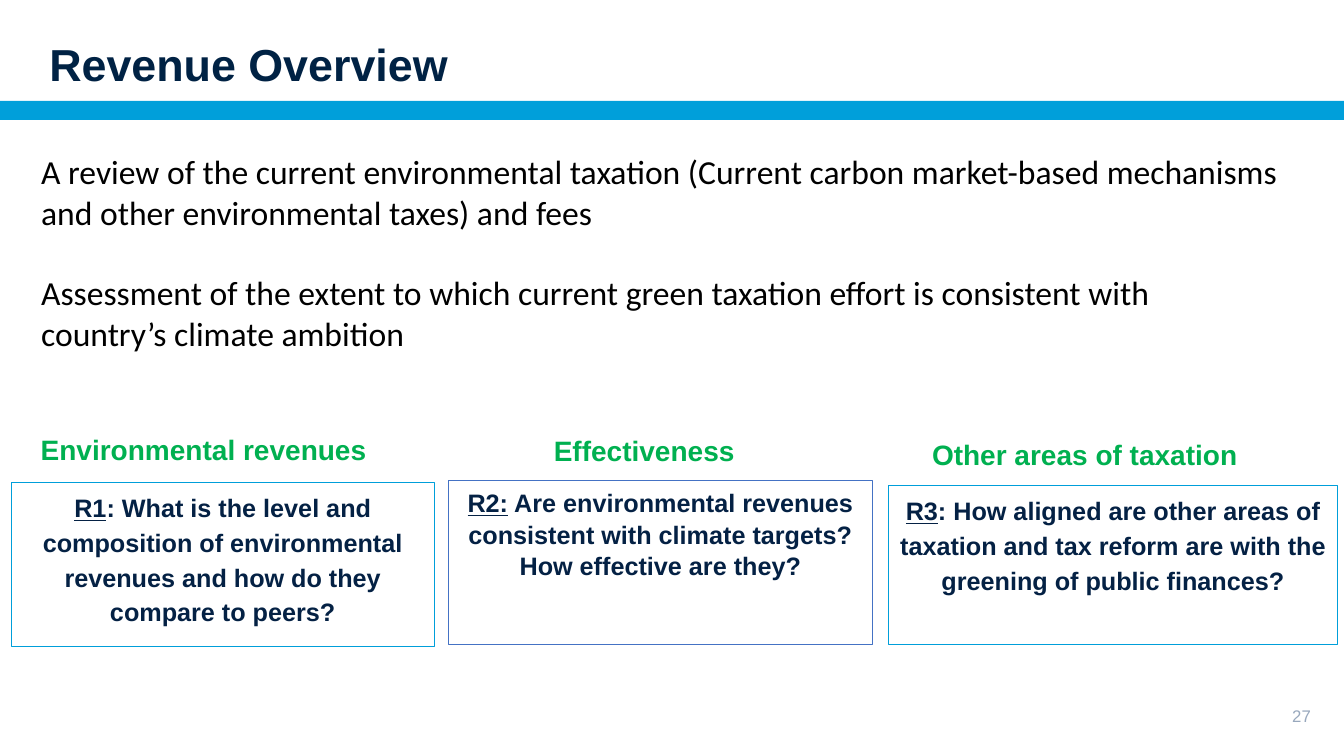
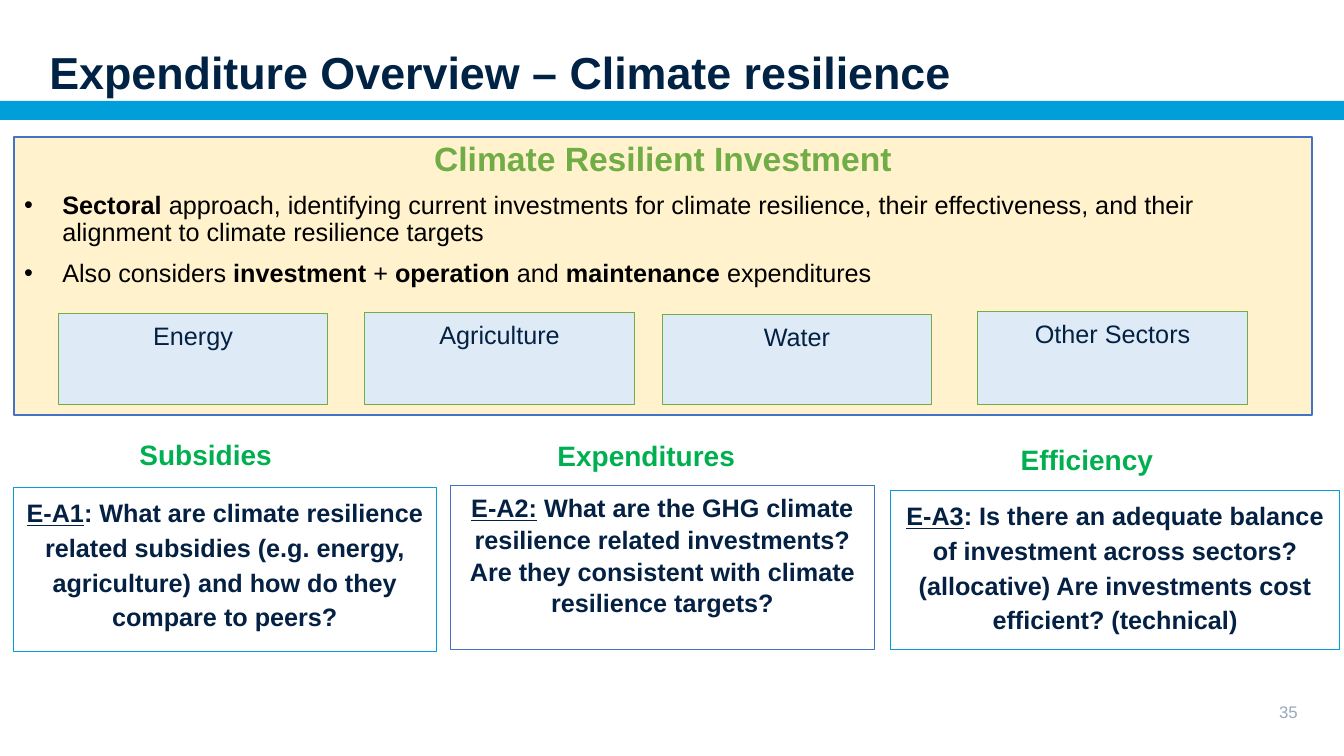
from lxml import etree
from pptx import Presentation
from pptx.dml.color import RGBColor
from pptx.enum.shapes import MSO_SHAPE
from pptx.enum.text import MSO_ANCHOR, PP_ALIGN
from pptx.oxml.ns import qn
from pptx.util import Inches, Pt

RECTANGLE = MSO_SHAPE.RECTANGLE
TOP, MIDDLE = MSO_ANCHOR.TOP, MSO_ANCHOR.MIDDLE
LEFT, CENTER, RIGHT = PP_ALIGN.LEFT, PP_ALIGN.CENTER, PP_ALIGN.RIGHT

BLACK = RGBColor(0x00, 0x00, 0x00)
NAVY = RGBColor(0x00, 0x22, 0x44)
INK = RGBColor(0x04, 0x21, 0x44)
CYAN = RGBColor(0x00, 0x9F, 0xDA)
BLUE = RGBColor(0x44, 0x72, 0xC4)
GREEN = RGBColor(0x00, 0xB0, 0x50)
LEAF = RGBColor(0x70, 0xAD, 0x47)
CREAM = RGBColor(0xFF, 0xF2, 0xCC)
PALE_BLUE = RGBColor(0xDE, 0xEB, 0xF7)
GREY = RGBColor(0x98, 0xA8, 0xBD)

# Per column: heading (left, top, height), question box (left, top, width, height),
# heading spacing, question spacing, outline
COLUMNS = [
    ((0.07, 4.19, 0.58), (0.11, 4.79, 4.2, 1.62), 1.15, 1.15, CYAN),
    ((4.44, 4.29, 0.45), (4.45, 4.77, 4.2, 1.62), 0.9, 1.05, BLUE),
    ((8.81, 4.24, 0.58), (8.81, 4.82, 4.46, 1.57), 1.15, 1.15, CYAN),
]
HEADING_WIDTH = 3.9


class Designer:
    def __init__(self):
        self.deck = Presentation()
        self.deck.slide_width = Inches(13.33)
        self.deck.slide_height = Inches(7.5)
        self.slide = None

    def new_slide(self, title, title_top, number, number_left, number_top):
        self.slide = self.deck.slides.add_slide(self.deck.slide_layouts[6])
        self.rectangle(0, 1, 13.33, 0.19, fill=CYAN)
        box = self.text_box(0.39, title_top, 12.49, 0.83, MIDDLE)
        self.add_spans(box.text_frame.paragraphs[0], [(title, "b")], 32, NAVY,
                       line_spacing=0.9)
        box = self.text_box(number_left, number_top, 0.79, 0.3, MIDDLE)
        self.add_spans(box.text_frame.paragraphs[0], [(number, "")], 12, GREY, RIGHT)

    def text_box(self, left, top, width, height, anchor=TOP):
        box = self.slide.shapes.add_textbox(
            Inches(left), Inches(top), Inches(width), Inches(height))
        box.text_frame.word_wrap = True
        box.text_frame.vertical_anchor = anchor
        return box

    def rectangle(self, left, top, width, height, fill=None, line=None, line_width=0.75):
        box = self.slide.shapes.add_shape(
            RECTANGLE, Inches(left), Inches(top), Inches(width), Inches(height))
        box.shadow.inherit = False
        if fill is None:
            box.fill.background()
        else:
            box.fill.solid()
            box.fill.fore_color.rgb = fill
        if line is None:
            box.line.fill.background()
        else:
            box.line.color.rgb = line
            box.line.width = Pt(line_width)
        box.text_frame.word_wrap = True
        box.text_frame.vertical_anchor = TOP
        return box

    def add_spans(self, para, spans, size, color, align=LEFT, line_spacing=1.0,
                  space_before=0, font="Arial"):
        """Fill a paragraph with (text, marks) spans; marks hold b for bold, u for underline."""
        para.alignment = align
        para.line_spacing = line_spacing
        para.space_before = Pt(space_before)
        for text, marks in spans:
            span = para.add_run()
            span.text = text
            span.font.name = font
            span.font.size = Pt(size)
            span.font.color.rgb = color
            span.font.bold = "b" in marks
            span.font.underline = "u" in marks

    def bullet(self, frame, spans):
        para = frame.add_paragraph()
        properties = para._p.get_or_add_pPr()
        properties.set("marL", str(Inches(0.38)))
        properties.set("indent", str(-Inches(0.38)))
        bullet_color = etree.SubElement(properties, qn("a:buClr"))
        etree.SubElement(bullet_color, qn("a:srgbClr")).set("val", str(BLACK))
        etree.SubElement(properties, qn("a:buFont")).set("typeface", "Arial")
        etree.SubElement(properties, qn("a:buChar")).set("char", "•")
        self.add_spans(para, spans, 18, BLACK, line_spacing=0.9, space_before=10)

    def introduction(self, texts):
        frame = self.text_box(0.31, 1.45, 12.49, 2.12).text_frame
        for index, text in enumerate(texts):
            para = frame.add_paragraph() if index else frame.paragraphs[0]
            self.add_spans(para, [(text, "")], 24, BLACK,
                           space_before=29 if index else 0, font="Calibri")

    def questions(self, entries, shift_x=0.0, shift_y=0.0):
        """Draw three headed question boxes from (heading, code, question) entries."""
        for column, (heading, code, question) in zip(COLUMNS, entries):
            (left, top, height), place, heading_spacing, question_spacing, outline = column
            box = self.text_box(left + shift_x, top + shift_y, HEADING_WIDTH, height)
            self.add_spans(box.text_frame.paragraphs[0], [(heading, "b")], 20, GREEN,
                           CENTER, heading_spacing)
            left, top, width, height = place
            box = self.rectangle(left + shift_x, top + shift_y, width, height, line=outline)
            self.add_spans(box.text_frame.paragraphs[0], [(code, "bu"), (question, "b")],
                           18, INK, CENTER, question_spacing)

    def panel(self, heading, bullets):
        frame = self.rectangle(0.14, 1.36, 12.87, 2.76, CREAM, BLUE, 1.5).text_frame
        self.add_spans(frame.paragraphs[0], [(heading, "b")], 24, LEAF, CENTER, 0.9)
        for spans in bullets:
            self.bullet(frame, spans)

    def sector(self, name, left, top, bottom=4.01):
        box = self.rectangle(left, top, 2.67, bottom - top, PALE_BLUE, LEAF)
        self.add_spans(box.text_frame.paragraphs[0], [(name, "")], 18, INK, CENTER, 1.05)


def main():
    designer = Designer()

    designer.new_slide("Revenue Overview", 0.25, "27", 12.31, 6.95)
    designer.introduction([
        "A review of the current environmental taxation (Current carbon market-based "
        "mechanisms and other environmental taxes) and fees",
        "Assessment of the extent to which current green taxation effort is consistent "
        "with country’s climate ambition",
    ])
    designer.questions([
        ("Environmental revenues", "R1",
         ": What is the level and composition of environmental revenues and how do they "
         "compare to peers?"),
        ("Effectiveness", "R2:",
         " Are environmental revenues consistent with climate targets? How effective are they?"),
        ("Other areas of taxation", "R3",
         ": How aligned are other areas of taxation and tax reform are with the greening "
         "of public finances?"),
    ])

    designer.new_slide("Expenditure Overview – Climate resilience", 0.33, "35", 12.18, 6.91)
    designer.panel("Climate Resilient Investment", [
        [("Sectoral", "b"),
         (" approach, identifying current investments for climate resilience, their "
          "effectiveness, and their alignment to climate resilience targets", "")],
        [("Also considers ", ""), ("investment", "b"), (" + ", ""), ("operation", "b"),
         (" and ", ""), ("maintenance", "b"), (" expenditures", "")],
    ])
    for name, left, top in [("Energy", 0.58, 3.11), ("Agriculture", 3.62, 3.1),
                            ("Water", 6.57, 3.12), ("Other Sectors", 9.7, 3.09)]:
        designer.sector(name, left, top)
    designer.questions([
        ("Subsidies", "E-A1",
         ": What are climate resilience related subsidies (e.g. energy, agriculture) and "
         "how do they compare to peers?"),
        ("Expenditures", "E-A2:",
         " What are the GHG climate resilience related investments? Are they consistent "
         "with climate resilience targets?"),
        ("Efficiency", "E-A3",
         ": Is there an adequate balance of investment across sectors? (allocative) Are "
         "investments cost efficient? (technical)"),
    ], shift_x=0.02, shift_y=0.05)

    designer.deck.save("out.pptx")


if __name__ == "__main__":
    main()
